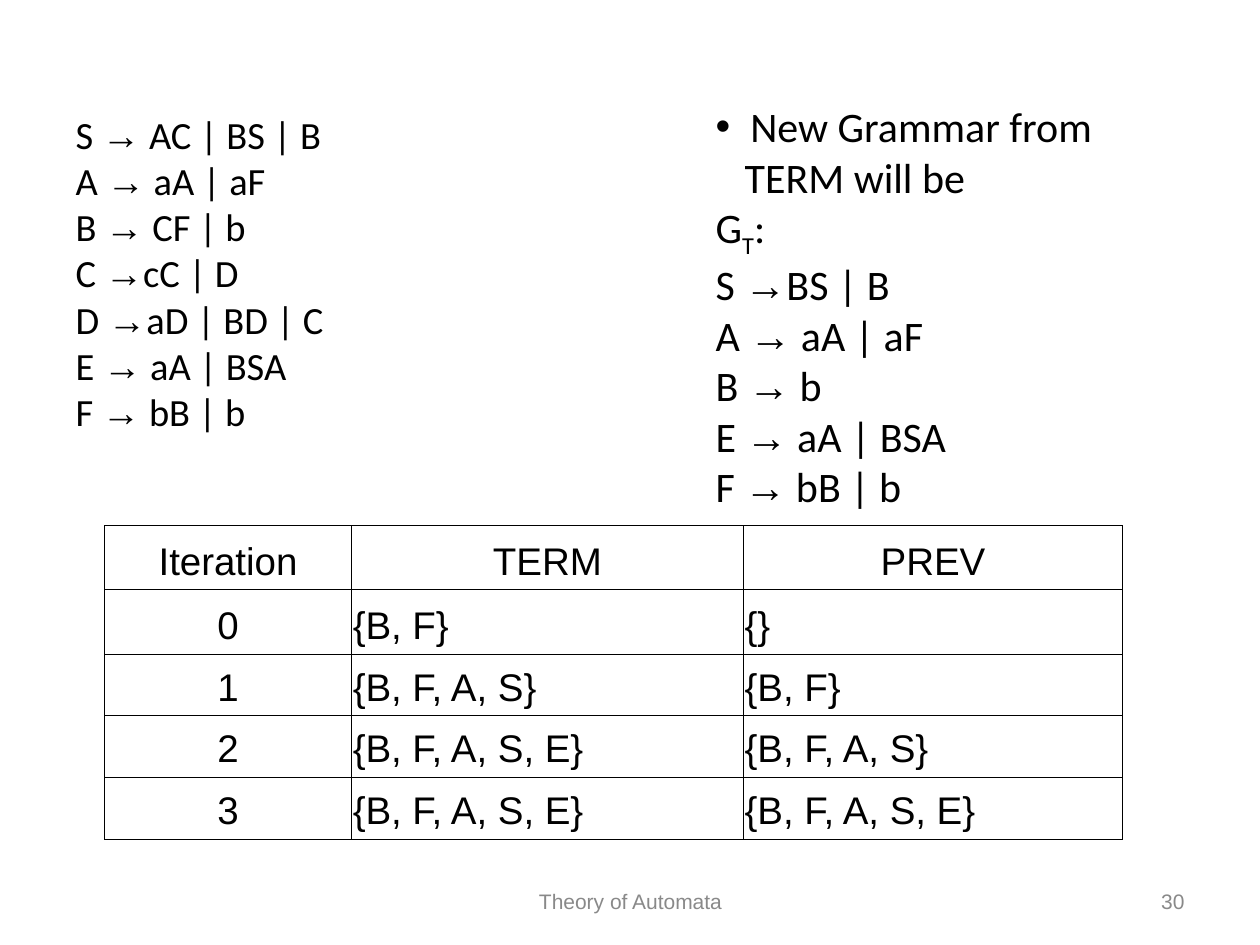
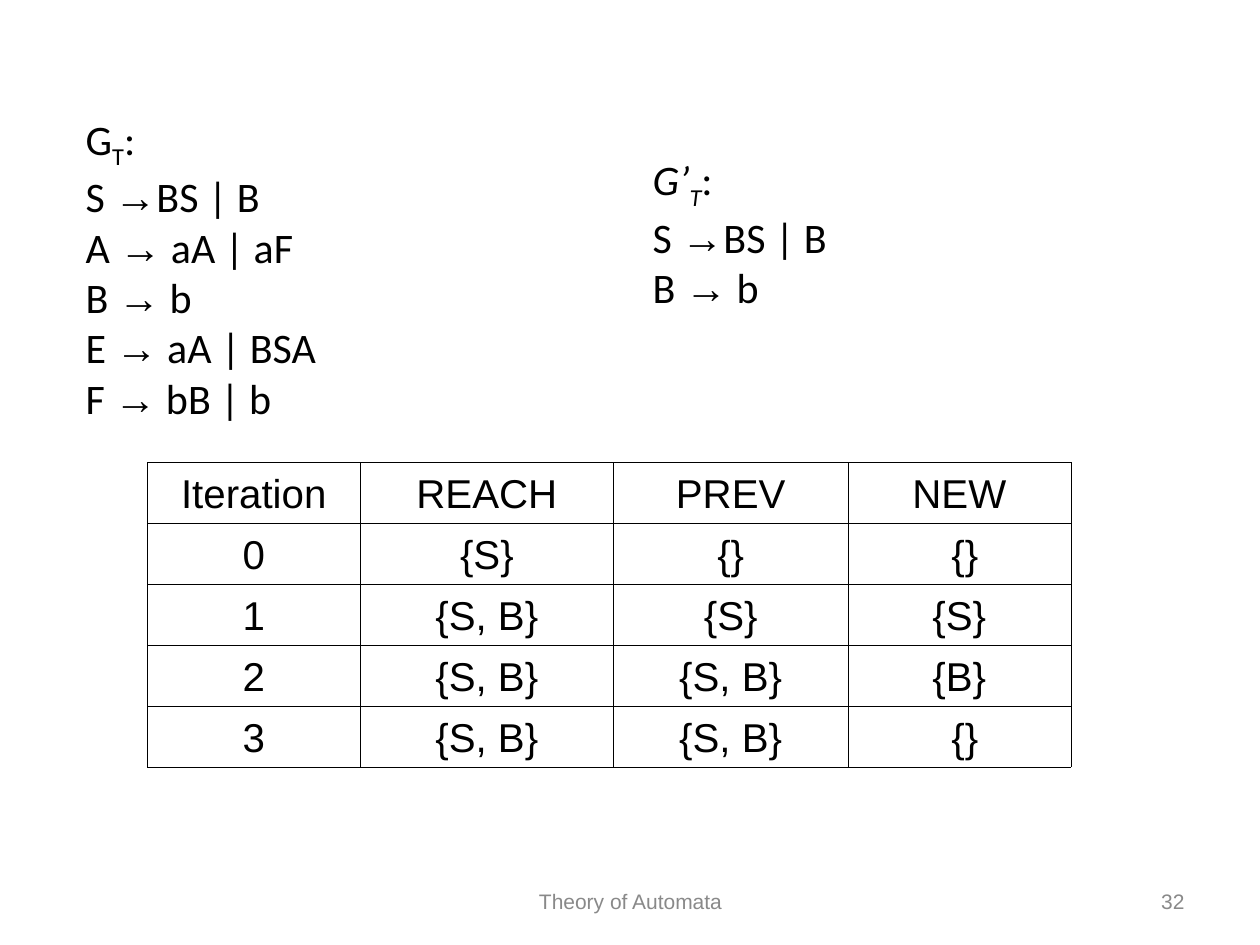
from lxml import etree
from pptx import Presentation
from pptx import util as u
from pptx.dml.color import RGBColor
from pptx.enum import text as t
from pptx.oxml import ns

BLACK, GREY = "000000", "898989"
BODY_FONT, PLAIN_FONT = "Calibri", "Arial"
LEFT, CENTER, RIGHT = t.PP_ALIGN.LEFT, t.PP_ALIGN.CENTER, t.PP_ALIGN.RIGHT
THIN, THICK = 0.23, 0.96

SOURCE_RULES = [
    "S → AC | BS | B", "A → aA | aF", "B → CF | b", "C →cC | D",
    "D →aD | BD | C", "E → aA | BSA", "F → bB | b",
]
TERM_RULES = ["S →BS | B", "A → aA | aF", "B → b", "E → aA | BSA", "F → bB | b"]
REACH_RULES = [rule for rule in TERM_RULES if rule[0] in "SB"]
TERM_STEPS = [
    ["Iteration", "TERM", "PREV"],
    ["0", "{B, F}", "{}"],
    ["1", "{B, F, A, S}", "{B, F}"],
    ["2", "{B, F, A, S, E}", "{B, F, A, S}"],
    ["3", "{B, F, A, S, E}", "{B, F, A, S, E}"],
]
REACH_STEPS = [
    ["Iteration", "REACH", "PREV", "NEW"],
    ["0", "{S}", "{}", " {}"],
    ["1", "{S, B}", "{S}", "{S}"],
    ["2", "{S, B}", "{S, B}", "{B}"],
    ["3", "{S, B}", "{S, B}", " {}"],
]


def color(value):
    return RGBColor.from_string(value)


def add_text(paragraph, content, size=24, font=BODY_FONT, fill=BLACK, italic=False, baseline=0):
    run = paragraph.add_run()
    run.text = content
    run.font.size = u.Pt(size)
    run.font.name = font
    run.font.italic = italic
    run.font.color.rgb = color(fill)
    if baseline:
        run.font._element.set("baseline", str(baseline * 1000))


def add_child(parent, tag, **attributes):
    return etree.SubElement(parent, ns.qn(tag), **attributes)


class Deck:
    def __init__(self):
        self.presentation = Presentation()
        self.presentation.slide_width = u.Inches(10)
        self.presentation.slide_height = u.Inches(7.5)
        self.slide = None

    def new_slide(self, number):
        self.slide = self.presentation.slides.add_slide(self.presentation.slide_layouts[3])
        title = self.slide.shapes.title._element
        title.getparent().remove(title)
        self.footer(str(number), 7.17, 2.33, RIGHT)
        self.footer("Theory of Automata", 3.42, 3.17, CENTER)

    def footer(self, content, left, width, align):
        box = self.slide.shapes.add_textbox(
            u.Inches(left), u.Inches(6.95), u.Inches(width), u.Inches(0.4))
        frame = box.text_frame
        frame.word_wrap = True
        frame.vertical_anchor = t.MSO_ANCHOR.MIDDLE
        frame.paragraphs[0].alignment = align
        add_text(frame.paragraphs[0], content, size=12, font=PLAIN_FONT, fill=GREY)

    def grammar(self, index, left, top, width, height, rules, size=24,
                name=None, italic=False, intro=()):
        body = self.slide.placeholders[index]
        body.left, body.top = u.Inches(left), u.Inches(top)
        body.width, body.height = u.Inches(width), u.Inches(height)
        self.frame = body.text_frame
        self.frame.word_wrap = True
        self.frame.auto_size = t.MSO_AUTO_SIZE.SHAPE_TO_FIT_TEXT
        self.first_line = True
        for position, line in enumerate(intro):
            paragraph = self.list_line(bullet=position == 0, indent=0.23 if position else 0.2)
            add_text(paragraph, line, size=size)
        if name:
            paragraph = self.list_line()
            add_text(paragraph, name, size=size, italic=italic)
            add_text(paragraph, "T", size=size, italic=italic, baseline=-25)
            add_text(paragraph, ":", size=size)
        for rule in rules:
            paragraph = self.list_line()
            for part in rule.partition("→"):
                add_text(paragraph, part, size=size, font=PLAIN_FONT if part == "→" else BODY_FONT)

    def list_line(self, bullet=False, indent=0):
        paragraph = self.frame.paragraphs[0] if self.first_line else self.frame.add_paragraph()
        self.first_line = False
        paragraph.space_before = u.Pt(0)
        properties = paragraph._p.get_or_add_pPr()
        properties.set("marL", str(u.Inches(indent)))
        properties.set("indent", str(-u.Inches(indent) if bullet else 0))
        if bullet:
            add_child(properties, "a:buFont", typeface=PLAIN_FONT)
            add_child(properties, "a:buChar", char="•")
        else:
            add_child(properties, "a:buNone")
        return paragraph

    def table(self, left, top, widths, heights, rows, size, margin=0.1, set_align=CENTER):
        frame = self.slide.shapes.add_table(
            len(rows), len(widths), u.Inches(left), u.Inches(top),
            u.Inches(sum(widths)), u.Inches(sum(heights)))
        table = frame.table
        table.first_row = table.horz_banding = False
        for column, width in zip(table.columns, widths):
            column.width = u.Inches(width)
        for row, height in zip(table.rows, heights):
            row.height = u.Inches(height)
        for row_index, row in enumerate(rows):
            for column_index, content in enumerate(row):
                cell = table.cell(row_index, column_index)
                self.borders(cell, row_index)
                cell.fill.background()
                cell.margin_left = cell.margin_right = u.Inches(margin)
                cell.vertical_anchor = t.MSO_ANCHOR.BOTTOM
                paragraph = cell.text_frame.paragraphs[0]
                is_set = row_index > 0 and column_index > 0
                paragraph.alignment = set_align if is_set else CENTER
                add_text(paragraph, content, size=size, font=PLAIN_FONT)

    def borders(self, cell, row_index):
        top = THICK if row_index == 1 else THIN
        bottom = THICK if row_index == 0 else THIN
        properties = cell._tc.get_or_add_tcPr()
        for side, width in zip("LRTB", (THIN, THIN, top, bottom)):
            line = add_child(properties, f"a:ln{side}", w=str(u.Pt(width)))
            add_child(add_child(line, "a:solidFill"), "a:srgbClr", val=BLACK)


def main():
    deck = Deck()

    deck.new_slide(30)
    deck.grammar(1, 0.5, 0.83, 2.58, 2.67, SOURCE_RULES, size=22)
    deck.grammar(2, 5.58, 0.75, 4, 3.36, TERM_RULES, name="G",
                 intro=[" New Grammar from", "TERM will be"])
    deck.table(0.83, 4.17, [1.96, 3.11, 3.01], [0.51] * 2 + [0.49] * 3,
               TERM_STEPS, size=22, margin=0.01, set_align=LEFT)

    deck.new_slide(32)
    deck.grammar(1, 0.58, 0.85, 4, 2.56, TERM_RULES, name="G")
    deck.grammar(2, 5.08, 1.17, 4, 1.36, REACH_RULES, name="G’", italic=True)
    deck.table(1.17, 3.67, [1.69, 2.01, 1.86, 1.77], [0.48] * 2 + [0.47] * 3,
               REACH_STEPS, size=23)

    deck.presentation.save("out.pptx")


if __name__ == "__main__":
    main()
